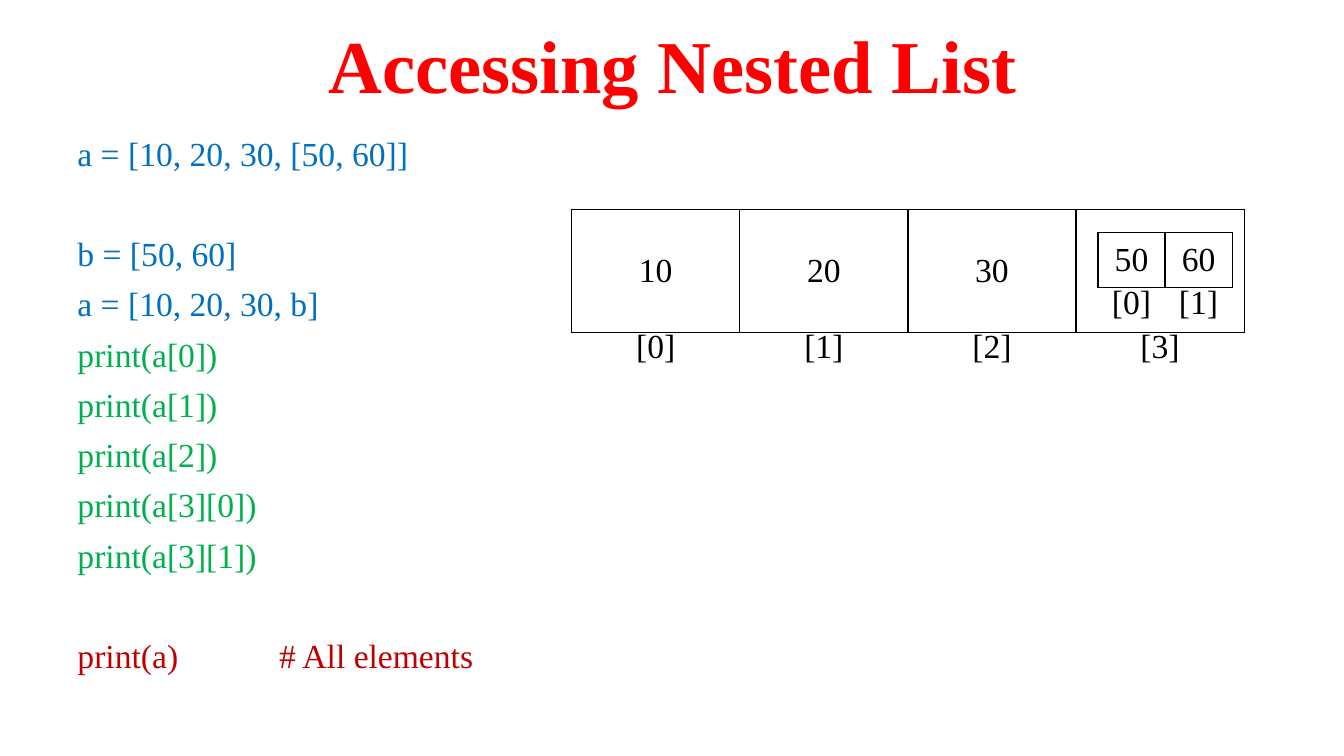
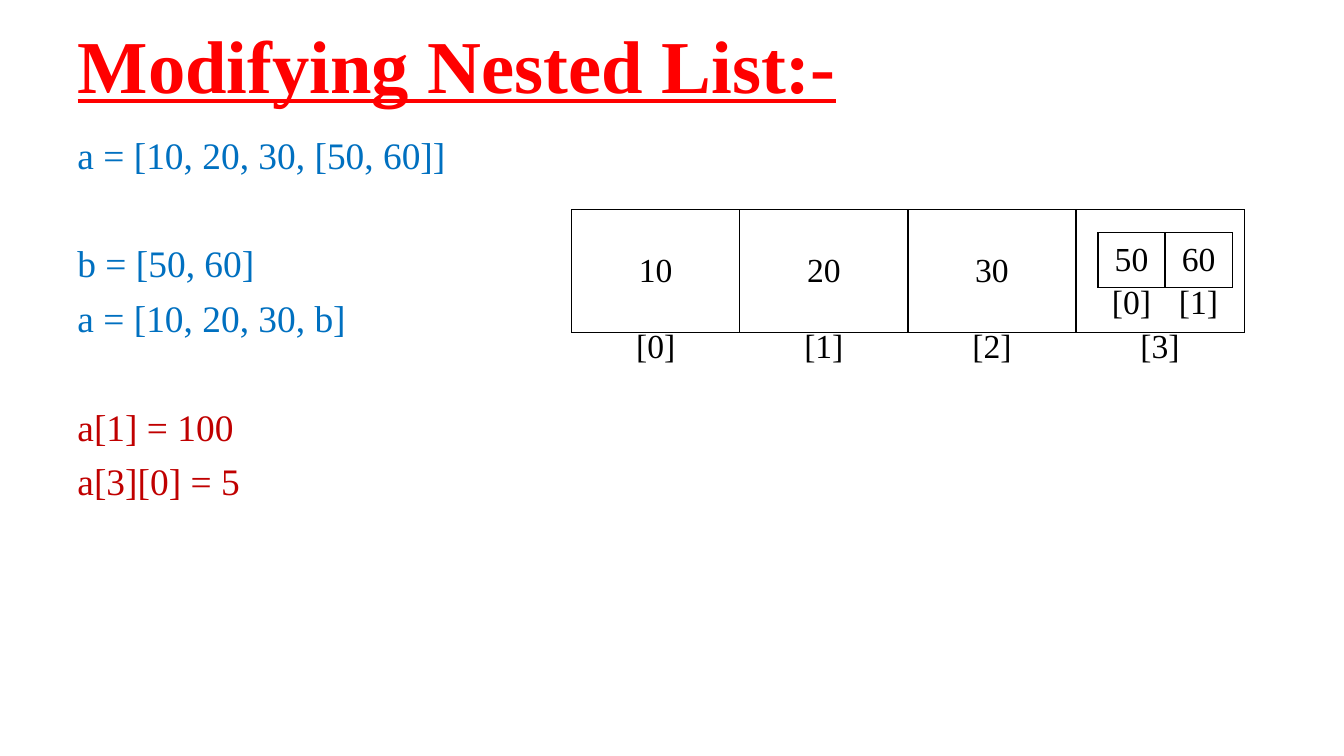
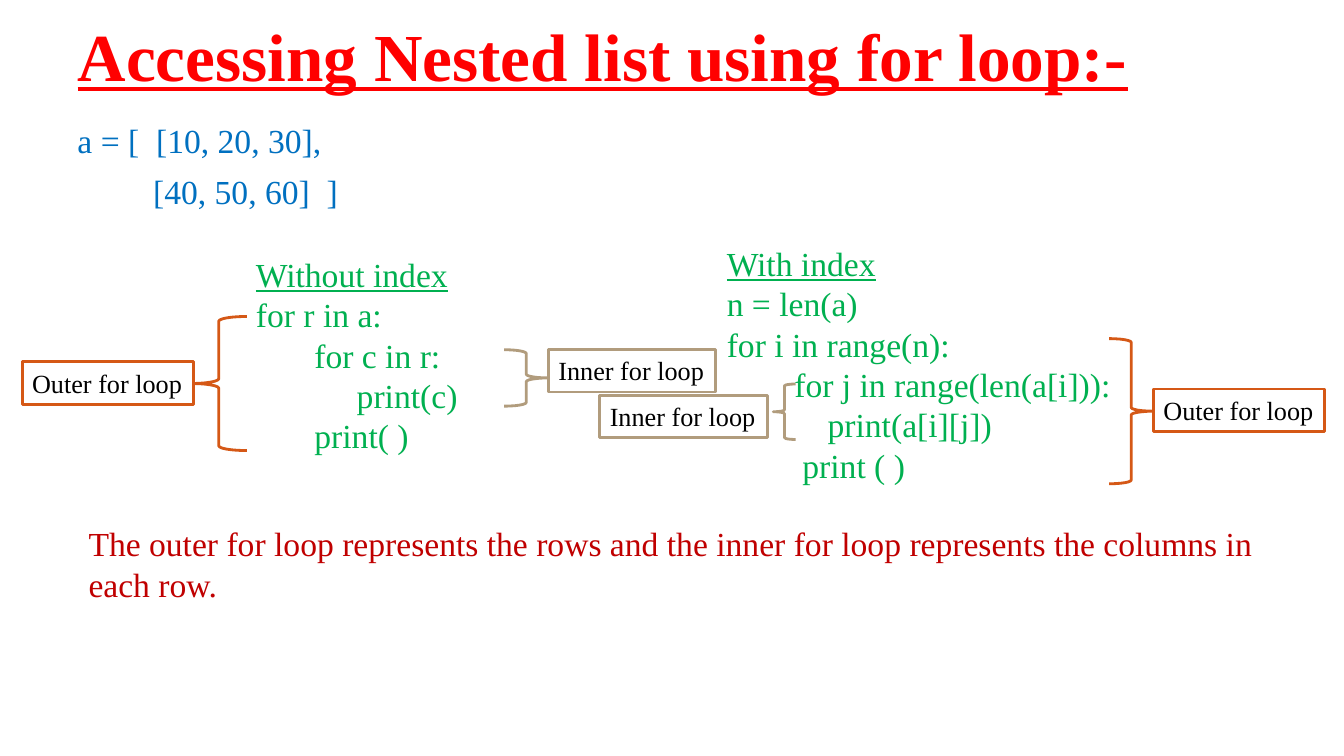
from lxml.etree import SubElement
from pptx import Presentation
from pptx.dml.color import RGBColor
from pptx.enum.shapes import MSO_SHAPE as Shape
from pptx.enum.text import MSO_ANCHOR as Anchor, MSO_AUTO_SIZE as Fit, PP_ALIGN as Align
from pptx.oxml import parse_xml
from pptx.oxml.ns import nsdecls, qn
from pptx.util import Inches, Pt

COLORS = {
    "title": "FF0000", "data": "0070C0", "code": "00B050", "result": "C00000",
    "text": "000000", "box": "FFFFFF", "outer": "D55816", "inner": "B19C7D",
}
FONT = "Times New Roman"
CODE_SIZE = 24
LABEL_SIZE = 18.7
LINE_GAP = 10
BLANK_LINE = 1.08
LIST_COLUMNS = (5.67, 6.67)
NESTED_COLUMNS = (10.89, 1.33)
LIST_CODE = [("a = [10, 20, 30, [50, 60]]", "data"), ("b = [50, 60]", "data", {"gap": True}),
             ("a = [10, 20, 30, b]", "data")]


def rgb(name):
    return RGBColor.from_string(COLORS[name])


def assign(target, values):
    for name, value in values.items():
        setattr(target, name, value)


def place(box, left, top, width, height):
    assign(box, {"left": Inches(left), "top": Inches(top),
                 "width": Inches(width), "height": Inches(height)})


def write(para, text, color, size=CODE_SIZE, **style):
    span = para.add_run()
    span.text = text
    assign(span.font, {"name": FONT, "size": Pt(size), "bold": False, **style})
    span.font.color.rgb = rgb(color)


def add_page(deck, title, size=53.3, top=0.06, align=Align.LEFT, underline=True):
    page = deck.slides.add_slide(deck.slide_layouts[5])
    box = page.shapes.title
    place(box, 0.67, top, 12, 1.25)
    assign(box.text_frame, {"vertical_anchor": Anchor.MIDDLE, "word_wrap": True,
                            "auto_size": Fit.NONE})
    para = box.text_frame.paragraphs[0]
    assign(para, {"alignment": align, "line_spacing": 0.9})
    write(para, title, "title", size, bold=True, underline=underline)
    return page


def add_tab_stop(para, inches):
    stops = SubElement(para._p.get_or_add_pPr(), qn("a:tabLst"))
    SubElement(stops, qn("a:tab"), pos=str(Inches(inches)), algn="l")


def add_lines(page, area, lines, size=CODE_SIZE, spaced=False):
    box = page.shapes.add_textbox(*map(Inches, area))
    frame = box.text_frame
    frame.word_wrap = True
    for index, (text, color, *options) in enumerate(lines):
        look = options[0] if options else {}
        para = frame.add_paragraph() if index else frame.paragraphs[0]
        if spaced:
            blank = LINE_GAP + size * BLANK_LINE if look.get("gap") else 0
            assign(para, {"line_spacing": 0.9, "space_before": Pt(round(LINE_GAP + blank, 1))})
        if "indent" in look:
            properties = para._p.get_or_add_pPr()
            properties.set("marL", str(Inches(look["indent"])))
            properties.set("indent", "0")
        if "tab" in look:
            add_tab_stop(para, look["tab"])
        write(para, text, color, size, underline=look.get("underline", False))


def set_borders(cell, visible):
    properties = cell._tc.get_or_add_tcPr()
    paint = (f'<a:solidFill><a:srgbClr val="{COLORS["text"]}"/></a:solidFill>'
             if visible else "<a:noFill/>")
    for index, side in enumerate("LRTB"):
        line = f'<a:ln{side} {nsdecls("a")} w="{Pt(1)}">{paint}</a:ln{side}>'
        properties.insert(index, parse_xml(line))


def add_row(page, columns, top, height, values, bordered):
    left, width = columns
    table = page.shapes.add_table(1, len(values), Inches(left), Inches(top),
                                  Inches(width), Inches(height)).table
    assign(table, {"first_row": False, "horz_banding": False})
    for cell, value in zip(table.rows[0].cells, values):
        cell.fill.background()
        set_borders(cell, bordered)
        assign(cell, {"margin_left": Inches(0.13), "margin_right": Inches(0.13),
                      "margin_top": Inches(0.07), "margin_bottom": Inches(0.07),
                      "vertical_anchor": Anchor.MIDDLE if bordered else Anchor.TOP})
        if value:
            para = cell.text_frame.paragraphs[0]
            para.alignment = Align.CENTER
            write(para, value, "text")


def add_nested_list(page):
    add_row(page, LIST_COLUMNS, 2.08, 1.22, ["10", "20", "30", ""], True)
    add_row(page, NESTED_COLUMNS, 2.31, 0.53, ["50", "60"], True)
    add_row(page, LIST_COLUMNS, 3.19, 0.56, [f"[{i}]" for i in range(4)], False)
    add_row(page, NESTED_COLUMNS, 2.75, 0.53, [f"[{i}]" for i in range(2)], False)


def add_outline(page, kind, area, color):
    shape = page.shapes.add_shape(kind, *map(Inches, area))
    shape.shadow.inherit = False
    shape.fill.background()
    shape.line.color.rgb = rgb(color)
    shape.line.width = Pt(2)
    return shape


def add_loop_mark(page, loop, kind, brace, label, filled=True):
    add_outline(page, kind, brace, loop)
    width = 1.7 if loop == "outer" else 1.66
    box = add_outline(page, Shape.RECTANGLE, (*label, width, 0.42), loop)
    if filled:
        box.fill.solid()
        box.fill.fore_color.rgb = rgb("box")
    assign(box.text_frame, {"word_wrap": False, "auto_size": Fit.SHAPE_TO_FIT_TEXT,
                            "vertical_anchor": Anchor.TOP})
    para = box.text_frame.paragraphs[0]
    para.alignment = Align.LEFT
    write(para, f"{loop.capitalize()} for loop", "text", LABEL_SIZE)


def build_access(deck):
    page = add_page(deck, "Accessing Nested List", align=Align.CENTER, underline=False)
    items = ["[0]", "[1]", "[2]", "[3][0]", "[3][1]"]
    add_lines(page, (0.67, 1.31, 12, 5.56), [
        *LIST_CODE,
        *((f"print(a{item})", "code") for item in items),
        ("print(a)\t# All elements", "result", {"gap": True, "tab": 2}),
    ], spaced=True)
    add_nested_list(page)


def build_modify(deck):
    page = add_page(deck, "Modifying Nested List:-")
    add_lines(page, (0.67, 1.31, 12, 5.56), [
        *LIST_CODE,
        ("a[1] = 100", "result", {"gap": True}),
        ("a[3][0] = 5", "result"),
    ], size=26.7, spaced=True)
    add_nested_list(page)


def build_loops(deck):
    page = add_page(deck, "Accessing Nested list using for loop:-", size=48, top=-0.03)
    add_lines(page, (0.67, 1.19, 9.89, 1.67), [
        ("a = [  [10, 20, 30],", "data"),
        ("[40, 50, 60]  ]", "data", {"indent": 0.75}),
    ], spaced=True)
    add_lines(page, (7.11, 2.36, 4.89, 2.52), [
        ("With index", "code", {"underline": True}),
        ("n = len(a)", "code"),
        ("for i in range(n):", "code"),
        ("for j in range(len(a[i])):", "code", {"indent": 0.67}),
        ("print(a[i][j])", "code", {"indent": 1}),
        ("print ( )", "code", {"indent": 0.75}),
    ])
    add_lines(page, (2.44, 2.47, 3.44, 2.12), [
        ("Without index", "code", {"underline": True}),
        ("for r in a:", "code"),
        ("for c in r:", "code", {"indent": 0.58}),
        ("print(c)", "code", {"indent": 1}),
        ("print( )", "code", {"indent": 0.58}),
    ])
    add_loop_mark(page, "outer", Shape.LEFT_BRACE, (1.89, 3.14, 0.56, 1.33), (0.22, 3.59))
    add_loop_mark(page, "outer", Shape.RIGHT_BRACE, (11, 3.36, 0.44, 1.44), (11.44, 3.86))
    add_loop_mark(page, "inner", Shape.RIGHT_BRACE, (5, 3.47, 0.44, 0.56), (5.44, 3.47))
    add_loop_mark(page, "inner", Shape.LEFT_BRACE, (7.67, 3.81, 0.22, 0.55), (5.95, 3.92),
                  filled=False)
    add_lines(page, (0.78, 5.14, 12.13, 0.91), [
        ("The outer for loop represents the rows and the inner for loop represents "
         "the columns in each row.", "result"),
    ])


def main():
    deck = Presentation()
    assign(deck, {"slide_width": Inches(13.33), "slide_height": Inches(7.5)})
    for build in (build_access, build_modify, build_loops):
        build(deck)
    deck.save("out.pptx")


if __name__ == "__main__":
    main()
